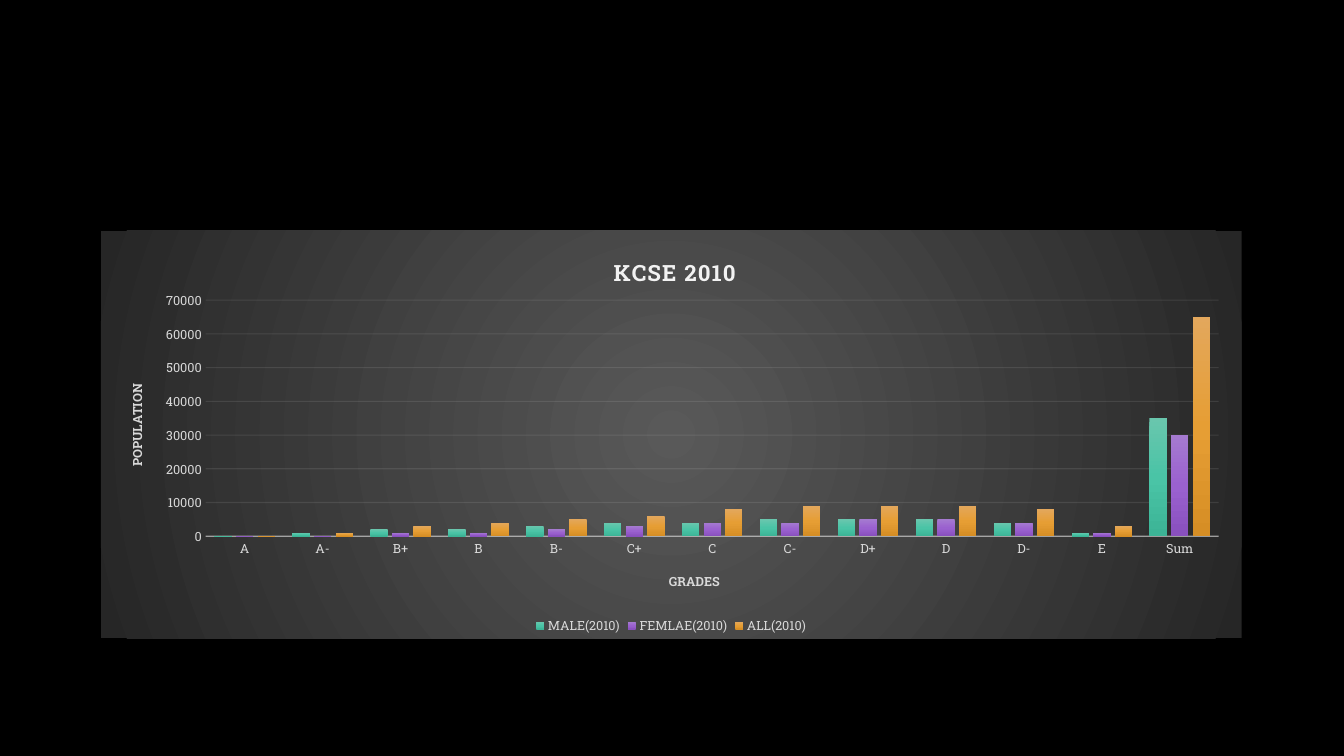
from dataclasses import dataclass

from pptx import Presentation
from pptx import util as u
from pptx.chart.data import CategoryChartData
from pptx.dml.color import RGBColor
from pptx.enum import chart as ch
from pptx.oxml import parse_xml
from pptx.oxml.ns import nsdecls, qn

FONT = "Roboto Slab"
BLACK = RGBColor(0x00, 0x00, 0x00)
WHITE = RGBColor(0xFF, 0xFF, 0xFF)
PALE = RGBColor(0xF2, 0xF2, 0xF2)
GREY = RGBColor(0xD9, 0xD9, 0xD9)
PANEL = (RGBColor(0x59, 0x59, 0x59), RGBColor(0x26, 0x26, 0x26))
GREEN = (RGBColor(0x69, 0xC6, 0xAD), RGBColor(0x4A, 0xC4, 0xA6), RGBColor(0x3C, 0xB4, 0x96))
PURPLE = (RGBColor(0xA5, 0x7A, 0xD0), RGBColor(0x9A, 0x61, 0xCF), RGBColor(0x89, 0x50, 0xBE))
ORANGE = (RGBColor(0xE3, 0xA7, 0x5C), RGBColor(0xE6, 0x9E, 0x34), RGBColor(0xD6, 0x8E, 0x25))
DOWNWARD = '<a:lin ang="5400000" scaled="0"/>'
RADIAL = '<a:path path="circle"><a:fillToRect l="50000" t="50000" r="50000" b="50000"/></a:path>'

GRADES = ["A", "A-", "B+", "B", "B-", "C+", "C", "C-", "D+", "D", "D-", "E", "Sum"]


@dataclass
class Group:
    name: str
    thousands: list[int]
    colors: tuple[RGBColor, ...]


GROUPS = [
    Group("MALE(2010)", [0, 1, 2, 2, 3, 4, 4, 5, 5, 5, 4, 1, 35], GREEN),
    Group("FEMLAE(2010)", [0, 0, 1, 1, 2, 3, 4, 4, 5, 5, 4, 1, 30], PURPLE),
    Group("ALL(2010)", [0, 1, 3, 4, 5, 6, 8, 9, 9, 9, 8, 3, 65], ORANGE),
]


def gradient(colors: tuple[RGBColor, ...], direction: str):
    """Build a gradient fill with evenly spaced stops."""
    step = 100000 // (len(colors) - 1)
    stops = "".join(f'<a:gs pos="{i * step}"><a:srgbClr val="{c}"/></a:gs>'
                    for i, c in enumerate(colors))
    return parse_xml(f'<a:gradFill {nsdecls("a")} rotWithShape="1">'
                     f'<a:gsLst>{stops}</a:gsLst>{direction}</a:gradFill>')


def set_layout(element, index: int, **edges: float) -> None:
    """Place a chart part by fractions of the chart area."""
    for old in element.findall(qn("c:layout")):
        element.remove(old)
    target = '<c:layoutTarget val="inner"/>' if "w" in edges else ""
    modes = "".join(f'<c:{k}Mode val="edge"/>' for k in edges if k in "xy")
    values = "".join(f'<c:{k} val="{v}"/>' for k, v in edges.items())
    element.insert(index, parse_xml(
        f'<c:layout {nsdecls("c")}><c:manualLayout>{target}{modes}{values}'
        '</c:manualLayout></c:layout>'))


def set_font(font, size: float, color: RGBColor, bold: bool = False) -> None:
    font.name, font.size, font.bold = FONT, u.Pt(size), bold
    font.color.rgb = color


def set_title(title, label: str, size: float, color: RGBColor, x: float, y: float):
    p = title.text_frame.paragraphs[0]
    p.text = label
    set_font(p.runs[0].font, size, color, bold=True)
    set_layout(title._element, 1, x=x, y=y)
    return p.runs[0]


def set_line(line, width: float, opacity: int) -> None:
    line.width = u.Pt(width)
    line.color.rgb = PALE
    color = line._ln.find(".//" + qn("a:srgbClr"))
    color.append(parse_xml(f'<a:alpha {nsdecls("a")} val="{opacity * 1000}"/>'))


# Slide
prs = Presentation()
prs.slide_width, prs.slide_height = u.Cm(33.87), u.Cm(19.05)
s = prs.slides.add_slide(prs.slide_layouts[6])
s.background.fill.solid()
s.background.fill.fore_color.rgb = BLACK

# Chart with its data
data = CategoryChartData()
data.categories = GRADES
for group in GROUPS:
    data.add_series(group.name, [1000 * v for v in group.thousands])
chart = s.shapes.add_chart(ch.XL_CHART_TYPE.COLUMN_CLUSTERED, u.Cm(2.54), u.Cm(5.82),
                           u.Cm(28.75), u.Cm(10.26), data).chart
set_font(chart.font, 10, WHITE)

# Panel and plot area
chart_part = chart._chartSpace.find(qn("c:chart"))
panel = parse_xml(f'<c:spPr {nsdecls("c", "a")}><a:ln><a:noFill/></a:ln></c:spPr>')
panel.insert(0, gradient(PANEL, RADIAL))
chart_part.addnext(panel)
set_layout(chart_part.find(qn("c:plotArea")), 0, x=0.092, y=0.17, w=0.888, h=0.58)

# Columns
plot = chart.plots[0]
plot.gap_width, plot.overlap, plot.vary_by_categories = 100, -24, False
for series, group in zip(plot.series, GROUPS):
    series.invert_if_negative = False
    series._element.get_or_add_spPr().insert(0, gradient(group.colors, DOWNWARD))

# Titles
chart.has_title = True
r = set_title(chart.chart_title, "KCSE 2010", 16, PALE, 0.446, 0.05)
r.font._element.set("spc", "100")
grades, population = chart.category_axis, chart.value_axis
set_title(grades.axis_title, "GRADES", 9, GREY, 0.496, 0.83)
set_title(population.axis_title, "POPULATION", 9, GREY, 0.021, 0.37)
body = population.axis_title.text_frame._txBody.bodyPr
body.set("rot", "-5400000")
body.set("vert", "horz")

# Axes
for axis in (grades, population):
    axis.major_tick_mark = axis.minor_tick_mark = ch.XL_TICK_MARK.NONE
    set_font(axis.tick_labels.font, 9, GREY)
set_line(grades.format.line, 1, 54)
population.format.line.fill.background()
population.minimum_scale, population.maximum_scale, population.major_unit = 0, 70000, 10000
population.has_major_gridlines = True
set_line(population.major_gridlines.format.line, 0.75, 10)

# Legend
chart.has_legend = True
chart.legend.position = ch.XL_LEGEND_POSITION.BOTTOM
chart.legend.include_in_layout = False
set_font(chart.legend.font, 9, GREY)

prs.save("out.pptx")
